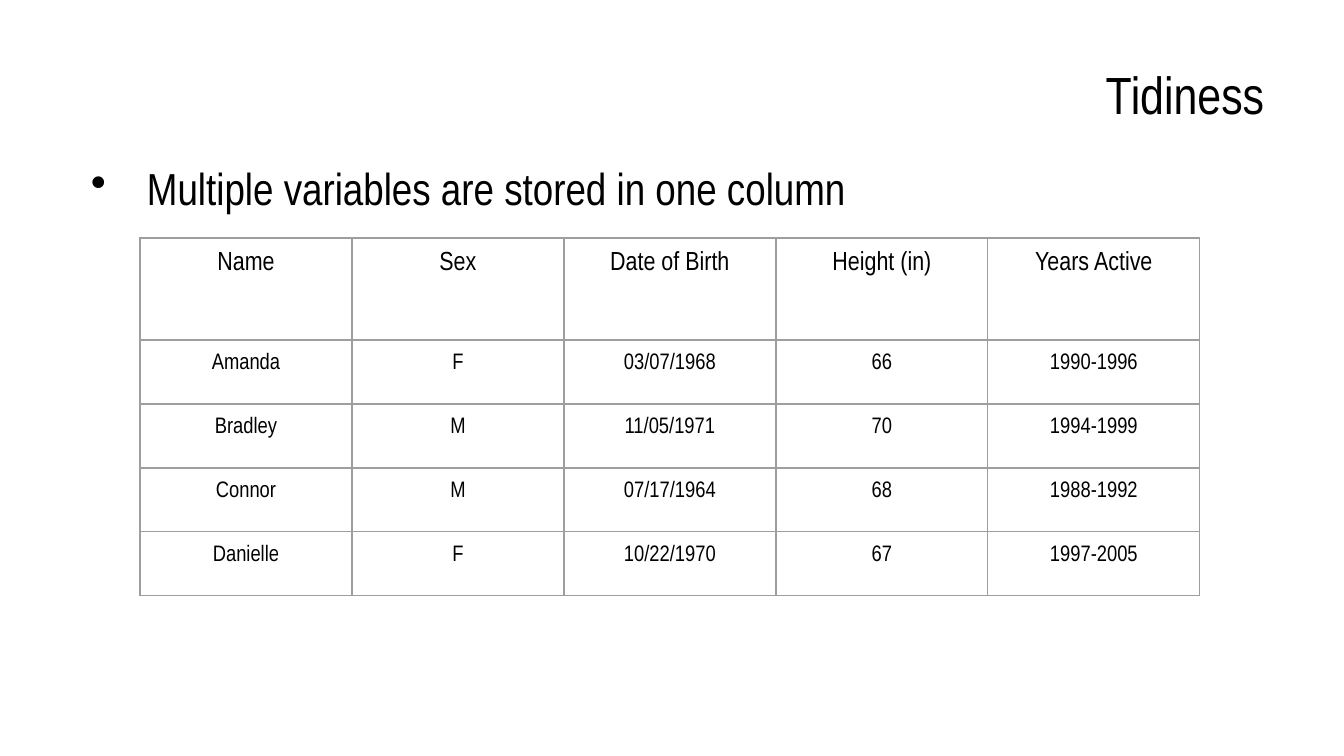
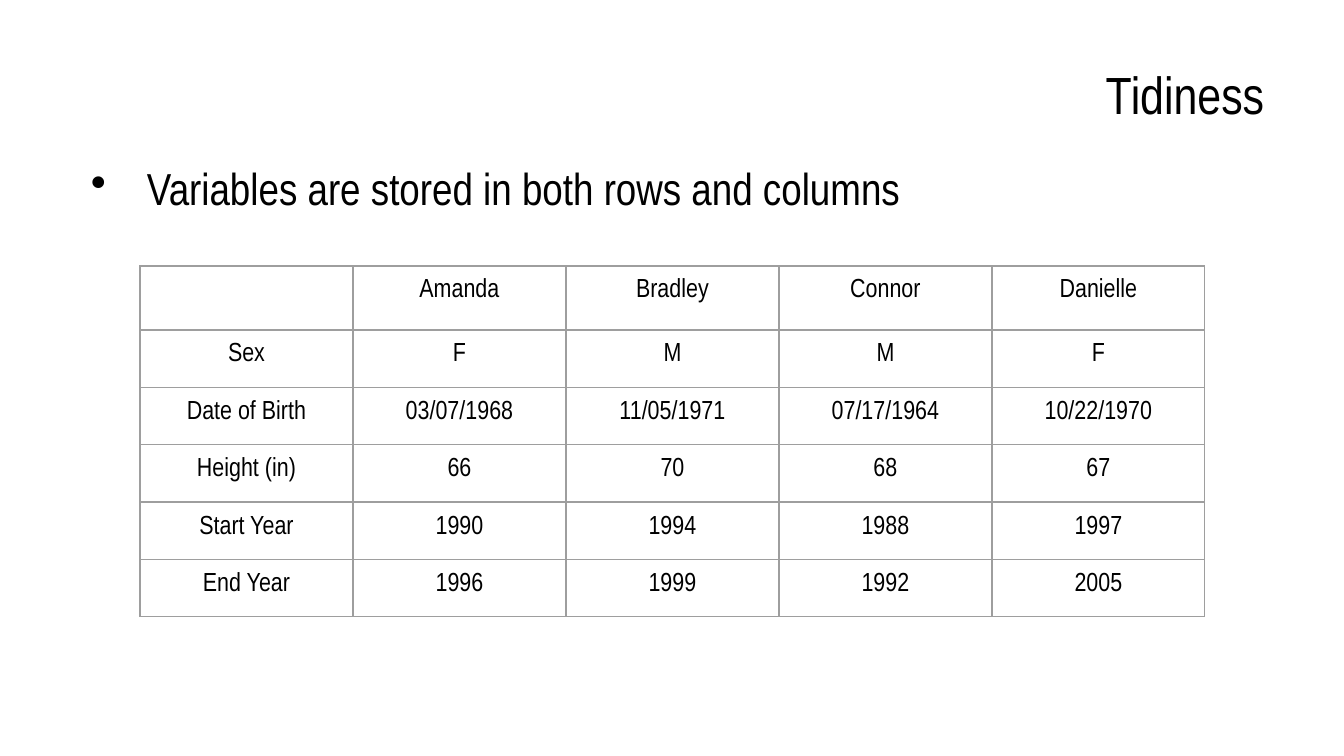
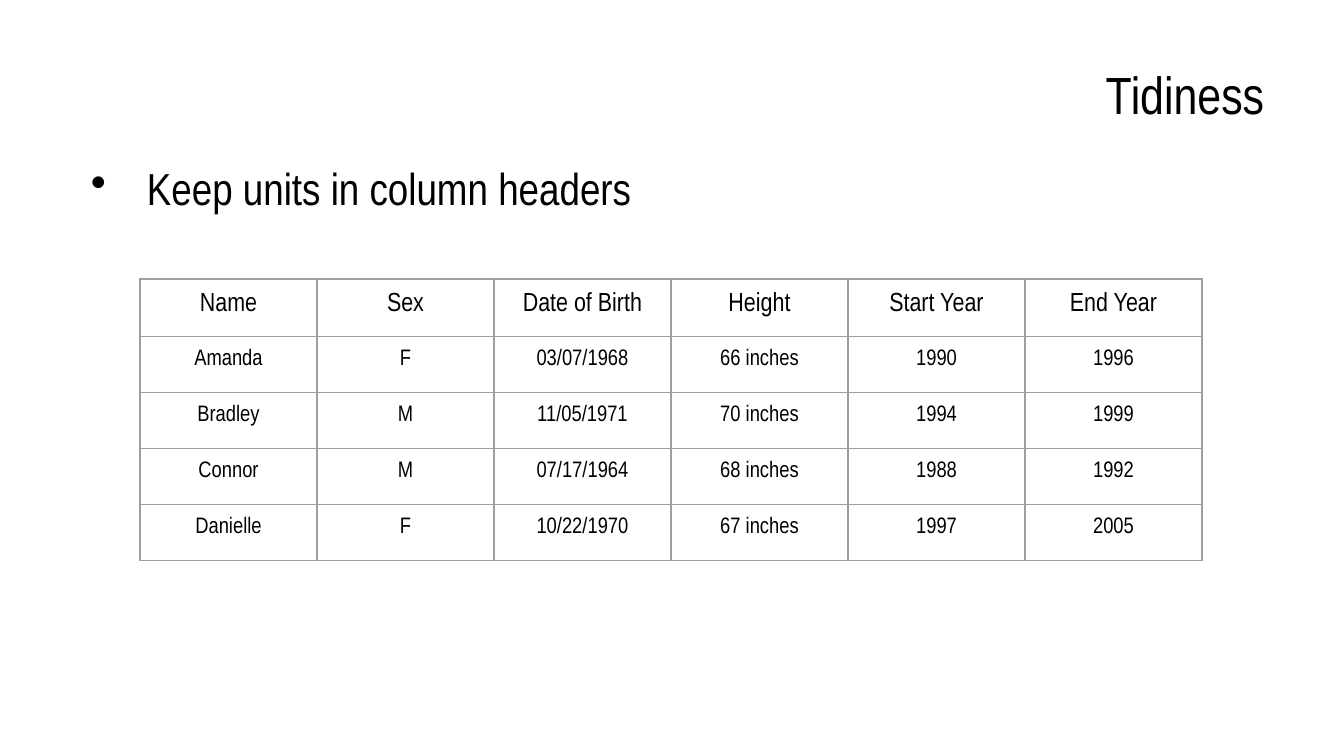
from pptx import Presentation
from pptx import util as u
from pptx.dml.color import RGBColor
from pptx.enum import text
from pptx.oxml import parse_xml
from pptx.oxml.ns import nsdecls

PX = u.Inches(10) / 1344
BLACK = RGBColor(0x00, 0x00, 0x00)
GREY = RGBColor(0x9E, 0x9E, 0x9E)
FONT = "Arial Narrow"
INSET = 13
TABLE_LEFT = 140


def px(length):
    return u.Emu(round(length * PX))


def style(paragraph, size, alignment):
    paragraph.alignment = alignment
    paragraph.font.name = FONT
    paragraph.font.size = u.Pt(size)
    paragraph.font.color.rgb = BLACK


# Table contents
dates = ["03/07/1968", "11/05/1971", "07/17/1964", "10/22/1970"]
names = ["Amanda", "Bradley", "Connor", "Danielle"]
sexes = ["F", "M", "M", "F"]
heights = ["66", "70", "68", "67"]
starts = ["1990", "1994", "1988", "1997"]
ends = ["1996", "1999", "1992", "2005"]
active = [f"{start}-{end}" for start, end in zip(starts, ends)]
inches = [f"{height} inches" for height in heights]

one_column = [
    ["Name", "Sex", "Date of Birth", "Height (in)", "Years Active"],
    *zip(names, sexes, dates, heights, active),
]
rows_and_columns = [
    ["", *names],
    ["Sex", *sexes],
    ["Date of Birth", *dates],
    ["Height (in)", *heights],
    ["Start Year", *starts],
    ["End Year", *ends],
]
units_in_cells = [
    ["Name", "Sex", "Date of Birth", "Height", "Start Year", "End Year"],
    *zip(names, sexes, dates, inches, starts, ends),
]

# Point, rows, table top, column width, header height, row height, body size
slides = [
    ("Multiple variables are stored in one column",
     one_column, 238, 212, 102, 64, 12),
    ("Variables are stored in both rows and columns",
     rows_and_columns, 266, 213, 64, 56, 14),
    ("Keep units in column headers",
     units_in_cells, 279, 177, 56, 56, 12),
]

presentation = Presentation()
presentation.slide_width = px(1344)
presentation.slide_height = px(756)

for point, rows, top, column_width, header_height, row_height, body_size in slides:
    slide = presentation.slides.add_slide(presentation.slide_layouts[6])

    # Title and bullet point
    for words, box_top, height, size, anchor, alignment in (
        ("Tidiness", 31, 126, 28, text.MSO_ANCHOR.MIDDLE, text.PP_ALIGN.RIGHT),
        (point, 148, 499, 24, text.MSO_ANCHOR.TOP, text.PP_ALIGN.LEFT),
    ):
        shape = slide.shapes.add_textbox(px(67), px(box_top), px(1210), px(height))
        frame = shape.text_frame
        frame.word_wrap = True
        frame.vertical_anchor = anchor
        frame.margin_left = frame.margin_right = px(INSET)
        frame.margin_top = frame.margin_bottom = px(INSET)
        paragraph = frame.paragraphs[0]
        paragraph.text = words
        if words == point:
            properties = paragraph._p.get_or_add_pPr()
            properties.set("marL", str(px(67)))
            properties.set("indent", str(-px(56)))
            properties.append(parse_xml(
                f'<a:buClr {nsdecls("a")}><a:srgbClr val="{BLACK}"/></a:buClr>'))
            properties.append(parse_xml(f'<a:buChar {nsdecls("a")} char="•"/>'))
        style(paragraph, size, alignment)

    # Table
    row_heights = [header_height] + [row_height] * (len(rows) - 1)
    table = slide.shapes.add_table(
        len(rows), len(rows[0]), px(TABLE_LEFT), px(top),
        px(column_width * len(rows[0])), px(sum(row_heights))).table
    table.first_row = table.horz_banding = False
    for column in table.columns:
        column.width = px(column_width)
    for row_index, values in enumerate(rows):
        table.rows[row_index].height = px(row_heights[row_index])
        for column_index, value in enumerate(values):
            cell = table.cell(row_index, column_index)
            cell.margin_left = cell.margin_right = px(INSET)
            cell.margin_top = cell.margin_bottom = px(INSET)
            cell.text = value
            style(cell.text_frame.paragraphs[0],
                  body_size if row_index else 14, text.PP_ALIGN.CENTER)
            for side in ("lnL", "lnR", "lnT", "lnB"):
                cell._tc.get_or_add_tcPr().append(parse_xml(
                    f'<a:{side} {nsdecls("a")} w="{u.Pt(0.75)}"><a:solidFill>'
                    f'<a:srgbClr val="{GREY}"/></a:solidFill></a:{side}>'))
            cell.fill.background()

presentation.save("out.pptx")
